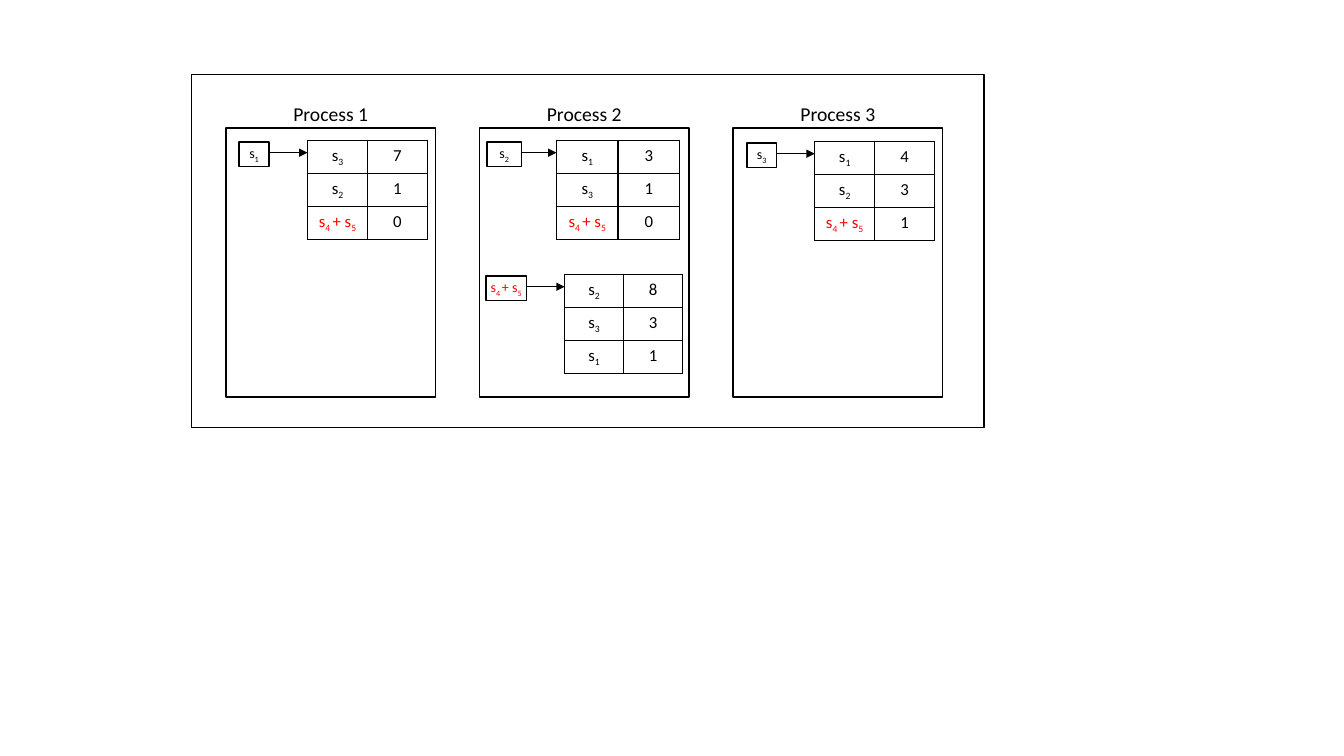
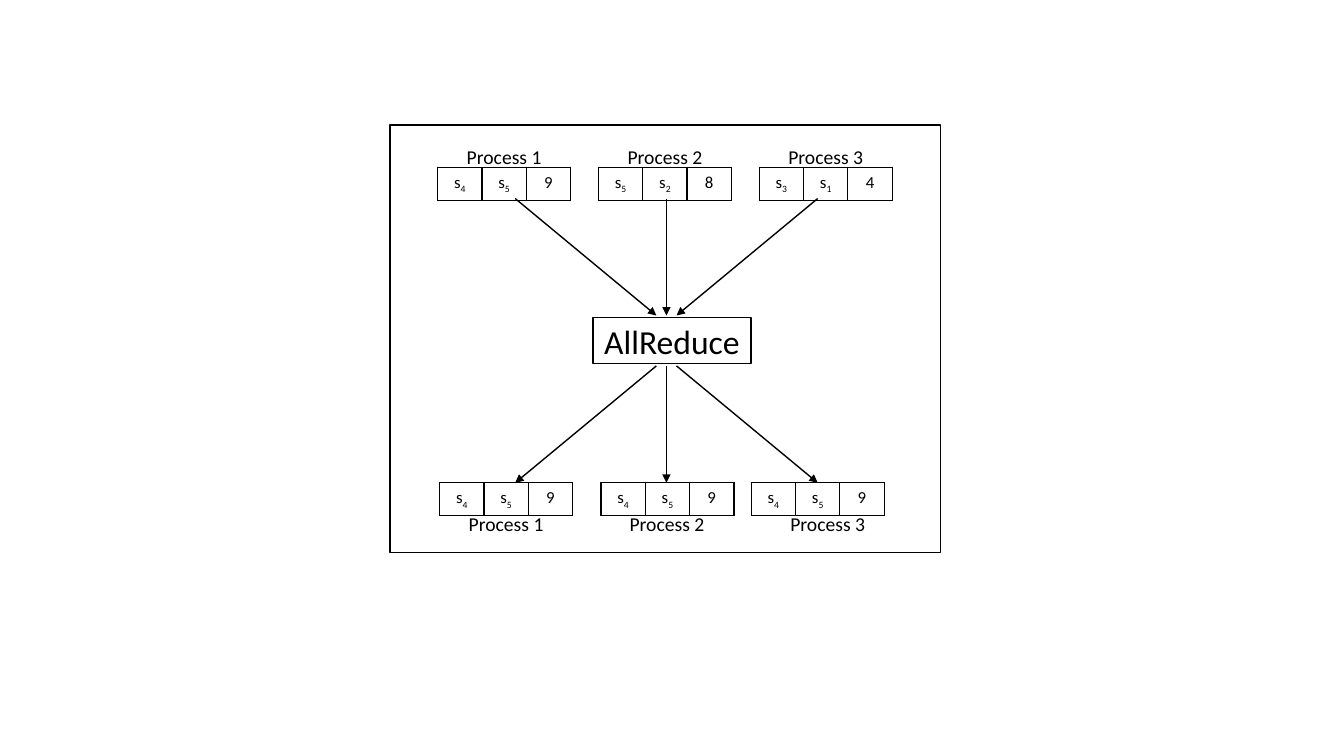
"""Build two slides on per-process edge lists and their AllReduce step."""
from lxml import etree
from pptx import Presentation
from pptx.dml.color import RGBColor
from pptx.enum.shapes import MSO_CONNECTOR as CONN, MSO_SHAPE as SHAPE
from pptx.enum.text import MSO_ANCHOR as ANCHOR, PP_ALIGN as ALIGN
from pptx.oxml import parse_xml
from pptx.oxml.ns import nsdecls, qn
from pptx.util import Inches, Pt

BLACK, RED = "000000", "FF0000"
FONT = "Calibri"
SIZES = {"label": 10, "cell": 12, "title": 14, "hub": 24}
NO_MARGIN = {"margin_left": 0, "margin_right": 0}
MERGED = "s_4 _+ s_5"
PROCESSES = ["Process 1", "Process 2", "Process 3"]
ROW = 3


def grid(*units):
    """Turn grid columns or rows of a tenth of an inch into lengths."""
    return [Inches(u / 10) for u in units]


def color(hex_text):
    """Return the colour for a hex string."""
    return RGBColor.from_string(hex_text)


def apply(target, values):
    """Set each attribute of the target."""
    for name, value in values.items():
        setattr(target, name, value)


def write(tf, text, style):
    """Write centred text whose odd parts between underscores are subscripts."""
    p = tf.paragraphs[0]
    p.alignment = ALIGN.CENTER
    for i, part in enumerate(text.split("_")):
        r = p.add_run()
        r.text = part
        apply(r.font, {"name": FONT, "size": Pt(SIZES[style]), "bold": False})
        r.font.color.rgb = color(RED if text == MERGED else BLACK)
        if i % 2:
            r.font._element.set("baseline", "-25000")


def outline(line):
    """Give a line the shared colour and width."""
    line.color.rgb = color(BLACK)
    line.width = Pt(1)


def frame(s, x, y, w, h, text="", style="label"):
    """Add an unfilled rectangle with optional centred text."""
    sp = s.shapes.add_shape(SHAPE.RECTANGLE, *grid(x, y, w, h))
    sp.shadow.inherit = False
    sp.fill.background()
    outline(sp.line)
    if text:
        tf = sp.text_frame
        apply(tf, {**NO_MARGIN, "margin_top": 0, "margin_bottom": 0,
                   "word_wrap": True, "vertical_anchor": ANCHOR.MIDDLE})
        write(tf, text, style)


def title(s, x, y, w, text):
    """Add the name of a process."""
    tf = s.shapes.add_textbox(*grid(x, y, w, 3.4)).text_frame
    tf.word_wrap = True
    write(tf, text, "title")


def arrow(s, x1, y1, x2, y2):
    """Add a straight arrow."""
    cx = s.shapes.add_connector(CONN.STRAIGHT, *grid(x1, y1, x2, y2))
    outline(cx.line)
    etree.SubElement(cx.line._get_or_add_ln(), qn("a:tailEnd"), type="triangle")
    etree.SubElement(cx._element.spPr, qn("a:effectLst"))


def border(cell):
    """Draw all four borders of a cell and leave it unfilled."""
    tc_pr = cell._tc.get_or_add_tcPr()
    for side in "LRTB":
        tc_pr.append(parse_xml(
            f'<a:ln{side} {nsdecls("a")} w="12700"><a:solidFill>'
            f'<a:srgbClr val="{BLACK}"/></a:solidFill></a:ln{side}>'))
    cell.fill.background()


def table(s, x, y, w, rows):
    """Add a bordered table with equal columns."""
    n_rows, n_cols = len(rows), len(rows[0])
    box = grid(x, y, w, ROW * n_rows)
    tbl = s.shapes.add_table(n_rows, n_cols, *box).table
    apply(tbl, {"first_row": False, "horz_banding": False})
    for i, row in enumerate(rows):
        for j, text in enumerate(row):
            cell = tbl.cell(i, j)
            apply(cell, NO_MARGIN)
            border(cell)
            write(cell.text_frame, text, "cell")


def linked_list(s, y, label, label_x, label_w, table_x, table_w, rows):
    """Add a labelled box that points to its table."""
    frame(s, label_x, y + 0.2, label_w, 2.4, label)
    arrow(s, label_x + label_w, y + 1.25, table_x, y + 1.25)
    table(s, table_x, y, table_w, rows)


def edge_lists(s):
    """Show the edge lists that each process holds."""
    frame(s, 19, 7.4, 78.6, 35)
    for i, name in enumerate(PROCESSES):
        x = 22.4 + 25.15 * i
        frame(s, x, 12.7, 20.8, 26.7)
        title(s, x, 9.6, 20.8, name)
    linked_list(s, 13.9, "s_1", 23.7, 3, 30.5, 11.9,
                [["s_3", "7"], ["s_2", "1"], [MERGED, "0"]])
    linked_list(s, 13.9, "s_2", 48.3, 3.4, 55.2, 12.2,
                [["s_1", "3"], ["s_3", "1"], [MERGED, "0"]])
    linked_list(s, 27.2, MERGED, 48.2, 4, 56, 11.7,
                [["s_2", "8"], ["s_3", "3"], ["s_1", "1"]])
    linked_list(s, 14, "s_3", 74.1, 2.9, 80.8, 11.9,
                [["s_1", "4"], ["s_2", "3"], [MERGED, "1"]])


def all_reduce(s):
    """Show local maxima reduced to one result on every process."""
    frame(s, 38.7, 12.4, 54.6, 42.4)
    frame(s, 58.8, 31.5, 15.7, 4.6, "AllReduce", "hub")
    local = [["s_4", "s_5", "9"], ["s_5", "s_2", "8"], ["s_3", "s_1", "4"]]
    result_x = [43.6, 59.6, 74.5]
    for i, name in enumerate(PROCESSES):
        x, outer, inner = 43.4 + 15.95 * i, 51.1 + 15 * i, 65.1 + i
        table(s, x, 16.6, 13.2, [local[i]])
        title(s, x, 13.9, 13.2, name)
        arrow(s, outer, 19.7, inner, 31.3)
        arrow(s, inner, 36.3, outer, 47.9)
        table(s, result_x[i], 47.9, 13.2, [local[0]])
        title(s, x + 0.2, 50.3, 13.2, name)


def main():
    """Build and save the presentation."""
    prs = Presentation()
    prs.slide_width, prs.slide_height = Inches(13.33), Inches(7.5)
    for draw in (edge_lists, all_reduce):
        draw(prs.slides.add_slide(prs.slide_layouts[6]))
    prs.save("out.pptx")


main()
